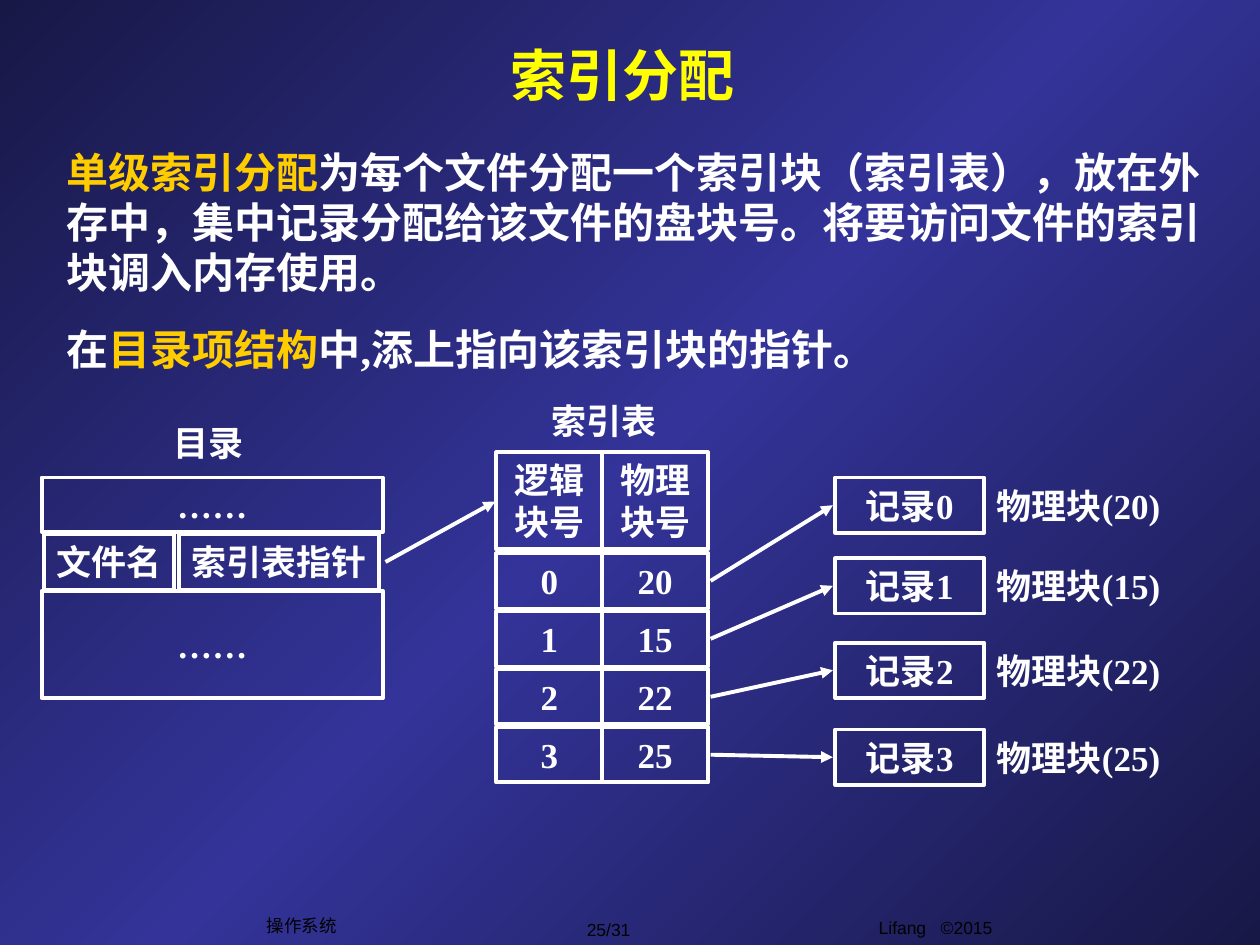
from copy import deepcopy
from dataclasses import dataclass

from lxml import etree
from pptx import Presentation, util as u
from pptx.dml import color
from pptx.enum import shapes, text
from pptx.oxml import ns


@dataclass(frozen=True)
class Theme:
    edge: str = "181847"
    glow: str = "333399"
    white: str = "FFFFFF"
    yellow: str = "FFFF00"
    gold: str = "FFCC00"
    black: str = "000000"
    serif: str = "Times New Roman"
    sans: str = "Arial"
    chinese: str = "Noto Sans CJK SC"
    title: int = 32
    body: int = 24
    label: int = 20
    footer: int = 10
    leading: float = 1.2
    stroke: float = 2.25


def apply(target, values):
    for name, value in values.items():
        setattr(target, name, value)


class Diagram:
    """Draws each kind of element on the current slide in one theme."""

    def __init__(self, page, theme):
        self.page = page
        self.theme = theme

    def background(self):
        fill = self.page.background.fill
        fill.gradient()
        fill.gradient_angle = 315
        stop_list = self.page.element.xpath(".//a:gsLst")[0]
        stop_list.insert(1, deepcopy(stop_list[0]))
        colours = (self.theme.edge, self.theme.glow, self.theme.edge)
        for stop, colour, position in zip(fill.gradient_stops, colours, (0, 0.5, 1)):
            stop.color.rgb = color.RGBColor.from_string(colour)
            stop.position = position

    def typeset(self, box, paragraphs, size, font, bold=True, wrap=True, gap=0,
                align=text.PP_ALIGN.CENTER, anchor=text.MSO_ANCHOR.MIDDLE, leading=True):
        frame = box.text_frame
        apply(frame, {"word_wrap": wrap, "auto_size": text.MSO_AUTO_SIZE.NONE,
                      "vertical_anchor": anchor})
        for index, spans in enumerate(paragraphs):
            para = frame.add_paragraph() if index else frame.paragraphs[0]
            apply(para, {"alignment": align, "space_before": u.Pt(gap if index else 0)})
            if leading:
                para.line_spacing = u.Pt(size * self.theme.leading)
            for words, colour in spans:
                span = para.add_run()
                span.text = words
                apply(span.font, {"size": u.Pt(size), "name": font, "bold": bold})
                span.font.color.rgb = color.RGBColor.from_string(colour)
                latin = span._r.find(".//" + ns.qn("a:latin"))
                latin.addnext(etree.Element(ns.qn("a:ea"), typeface=self.theme.chinese))

    def text(self, place, paragraphs, size, font, **style):
        box = self.page.shapes.add_textbox(*map(u.Inches, place))
        self.typeset(box, paragraphs, size, font, **style)
        return box

    def label(self, place, words):
        spans = [[(words, self.theme.white)]]
        self.text(place, spans, self.theme.label, self.theme.serif, wrap=False)

    def cell(self, place, words, wrap=False):
        box = self.page.shapes.add_shape(shapes.MSO_SHAPE.RECTANGLE, *map(u.Inches, place))
        box.shadow.inherit = False
        box.fill.background()
        self.outline(box.line)
        spans = [[(words, self.theme.white)]]
        self.typeset(box, spans, self.theme.label, self.theme.serif, wrap=wrap)

    def outline(self, line):
        line.color.rgb = color.RGBColor.from_string(self.theme.white)
        line.width = u.Pt(self.theme.stroke)

    def arrow(self, *ends):
        arrow = self.page.shapes.add_connector(
            shapes.MSO_CONNECTOR.STRAIGHT, *map(u.Inches, ends))
        self.outline(arrow.line)
        properties = arrow._element.spPr
        etree.SubElement(properties.find(ns.qn("a:ln")), ns.qn("a:tailEnd"), type="triangle")
        etree.SubElement(properties, ns.qn("a:effectLst"))


def main():
    deck = Presentation()
    apply(deck, {"slide_width": u.Inches(10), "slide_height": u.Inches(7.5)})
    theme = Theme()
    diagram = Diagram(deck.slides.add_slide(deck.slide_layouts[6]), theme)
    diagram.background()

    footers = [
        ((5.84, 7.23, 3.17, 0.35), "Lifang   ©2015", text.MSO_ANCHOR.TOP),
        ((4.32, 7.24, 1.02, 0.27), "25/31", text.MSO_ANCHOR.MIDDLE),
        ((2.02, 7.21, 0.75, 0.27), "操作系统", text.MSO_ANCHOR.MIDDLE),
    ]
    for place, words, anchor in footers:
        diagram.text(place, [[(words, theme.black)]], theme.footer, theme.sans,
                     bold=False, wrap=False, anchor=anchor)

    diagram.text((0.69, 0.25, 8.5, 0.68), [[("索引分配", theme.yellow)]],
                 theme.title, theme.chinese, leading=False)
    body = diagram.text((0.43, 1.08, 9.26, 1.91), [
        [("单级索引分配", theme.gold),
         ("为每个文件分配一个索引块（索引表），放在外存中，集中记录分配给该文件的盘块号。"
          "将要访问文件的索引块调入内存使用。", theme.white)],
        [("在", theme.white), ("目录项结构", theme.gold),
         ("中,添上指向该索引块的指针。", theme.white)],
    ], theme.body, theme.serif, gap=15, align=text.PP_ALIGN.LEFT, anchor=text.MSO_ANCHOR.TOP)
    body.text_frame.margin_top = u.Inches(0.08)

    diagram.label((1.28, 3.29, 0.75, 0.44), "目录")
    directory = [
        ((0.35, 4.24, 1.03, 0.44), "文件名"),
        ((1.42, 4.24, 1.59, 0.44), "索引表指针"),
        ((0.33, 3.79, 2.71, 0.43), "……"),
        ((0.33, 4.69, 2.71, 0.85), "……"),
    ]
    for place, words in directory:
        diagram.cell(place, words)

    diagram.label((4.28, 3.12, 1.03, 0.44), "索引表")
    columns, width, height = (3.94, 4.78), 0.84, 0.44
    for left, words in zip(columns, ("逻辑块号", "物理块号")):
        diagram.cell((left, 3.59, width, 0.77), words, wrap=True)

    blocks = [(20, 3.79), (15, 4.43), (22, 5.1), (25, 5.79)]
    for number, (block, record_top) in enumerate(blocks):
        row_top = 4.39 + 0.46 * number
        for left, value in zip(columns, (number, block)):
            diagram.cell((left, row_top, width, height), str(value), wrap=True)
        diagram.cell((6.63, record_top, 1.18, height), f"记录{number}")
        diagram.label((7.78, record_top, 1.56, height), f"物理块({block})")
        diagram.arrow(5.64, row_top + height / 2, 6.61, record_top + height / 2)

    diagram.arrow(3.06, 4.46, 3.93, 3.98)
    deck.save("out.pptx")


if __name__ == "__main__":
    main()
